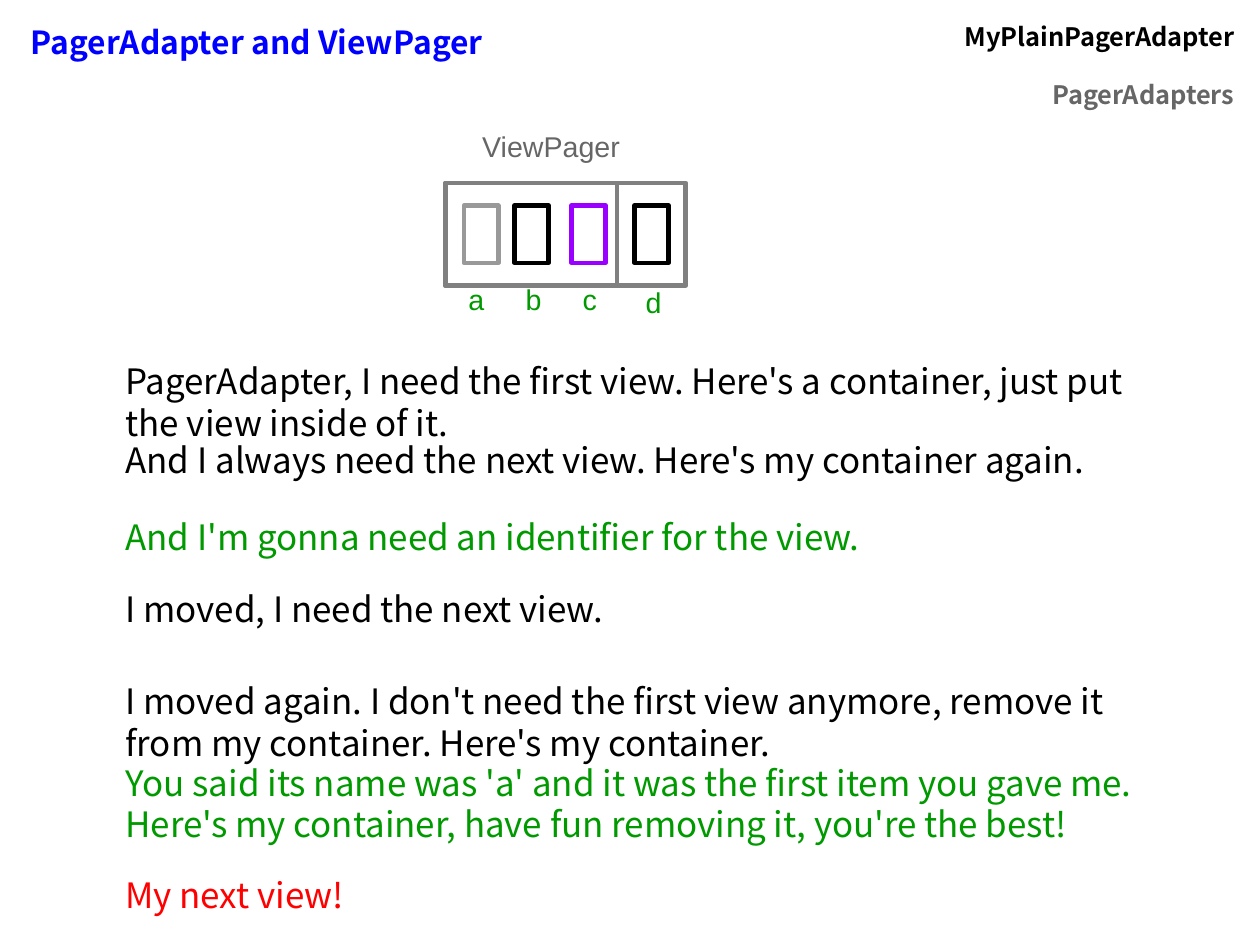
from dataclasses import dataclass

from lxml import etree
from pptx import Presentation
from pptx import util as u
from pptx.dml.color import RGBColor
from pptx.enum import shapes, text
from pptx.oxml.ns import qn


@dataclass(frozen=True)
class Theme:
    sans: str = "Noto Sans CJK SC"
    label: str = "Arial"
    title_size: int = 20
    topic_size: int = 16
    speech_size: int = 22
    label_size: int = 18
    line_width: float = 2.89
    border_width: float = 0.06
    white: str = "FFFFFF"
    black: str = "000000"
    blue: str = "0000FF"
    green: str = "009900"
    red: str = "FF0000"
    purple: str = "9900FF"
    frame: str = "808080"
    removed: str = "999999"
    muted: str = "666666"


T = Theme()


def rgb(color):
    return RGBColor.from_string(color)


def add_run(p, content, font, size, color, bold=False):
    r = p.add_run()
    r.text = content
    r.font.name = font
    r.font.size = u.Pt(size)
    r.font.bold = bold
    r.font.color.rgb = rgb(color)


def add_text(s, box, content, font, size, color):
    sp = s.shapes.add_textbox(*map(u.Inches, box))
    tf = sp.text_frame
    tf.word_wrap = True
    tf.auto_size = text.MSO_AUTO_SIZE.SHAPE_TO_FIT_TEXT
    add_run(tf.paragraphs[0], content, font, size, color)


def add_rect(s, box, line, fill=None):
    sp = s.shapes.add_shape(shapes.MSO_SHAPE.RECTANGLE, *map(u.Inches, box))
    sp.shadow.inherit = False
    if fill:
        sp.fill.solid()
        sp.fill.fore_color.rgb = rgb(fill)
    else:
        sp.fill.background()
    sp.line.color.rgb = rgb(line)
    sp.line.width = u.Pt(T.line_width)


def style_cell(cell):
    properties = cell._tc.get_or_add_tcPr()
    for side in ("a:lnL", "a:lnR", "a:lnT", "a:lnB"):
        border = etree.SubElement(properties, qn(side), w=str(u.Pt(T.border_width)))
        fill = etree.SubElement(border, qn("a:solidFill"))
        etree.SubElement(fill, qn("a:srgbClr"), val=T.white)
    cell.fill.solid()
    cell.fill.fore_color.rgb = rgb(T.white)


def add_header(s, box):
    frame = s.shapes.add_table(2, 2, *map(u.Inches, box))
    table = frame.table
    table.first_row = False
    table.horz_banding = False
    for row in table.rows:
        row.height = u.Inches(0.48)
    frame.height = u.Inches(box[3])
    for cell in table.iter_cells():
        style_cell(cell)
    entries = [
        (0, 0, "PagerAdapter and ViewPager", T.title_size, T.blue),
        (0, 1, "MyPlainPagerAdapter", T.topic_size, T.black),
        (1, 1, "PagerAdapters", T.topic_size, T.muted),
    ]
    for row, col, content, size, color in entries:
        p = table.cell(row, col).text_frame.paragraphs[0]
        if col:
            p.alignment = text.PP_ALIGN.RIGHT
        add_run(p, content, T.sans, size, color, bold=True)


def add_view_pager(s, box):
    x, y, w, h = box
    add_text(s, (x + 0.22, y - 0.52, 1.48, 0.38), "ViewPager",
             T.label, T.label_size, T.muted)
    add_rect(s, (x, y, 1.5, h), T.frame, T.white)
    add_rect(s, box, T.frame)
    views = [
        ("a", 0.16, 0.1, 0.82, T.removed),
        ("b", 0.6, 0.6, 0.82, T.black),
        ("c", 1.1, 1.1, 0.82, T.purple),
        ("d", 1.65, 1.65, 0.84, T.black),
    ]
    for name, view_dx, name_dx, name_dy, color in views:
        add_rect(s, (x + view_dx, y + 0.2, 0.3, 0.5), color, T.white)
        add_text(s, (x + name_dx, y + name_dy, 0.3, 0.38), name,
                 T.label, T.label_size, T.green)


def add_conversation(s, box):
    x, y, w, h = box
    speeches = [
        (0, w, 0.93, T.black, "PagerAdapter, I need the first view. "
         "Here's a container, just put the view inside of it."),
        (0.69, 8.95, 0.73, T.black,
         "And I always need the next view. Here's my container again."),
        (1.36, 7.23, 0.73, T.green,
         "And I'm gonna need an identifier for the view."),
        (1.99, 5.6, 0.73, T.black, "I moved, I need the next view."),
        (2.8, 9, 1.04, T.black, "I moved again. I don't need the first view "
         "anymore, remove it from my container. Here's my container."),
        (3.51, 9.5, 1.04, T.green, "You said its name was 'a' and it was the "
         "first item you gave me. Here's my container, have fun removing it, "
         "you're the best!"),
        (4.49, 2.3, 0.52, T.red, "My next view!"),
    ]
    for dy, width, height, color, content in speeches:
        add_text(s, (x, y + dy, width, height), content,
                 T.sans, T.speech_size, color)


def main():
    prs = Presentation()
    prs.slide_width = u.Inches(28 / 2.54)
    prs.slide_height = u.Inches(21 / 2.54)
    s = prs.slides.add_slide(prs.slide_layouts[6])
    add_header(s, (0.17, 0.1, 10.73, 0.79))
    add_view_pager(s, (3.9, 1.6, 2.1, 0.9))
    add_conversation(s, (1, 3.1, 9.3, 5.01))
    prs.save("out.pptx")


if __name__ == "__main__":
    main()
